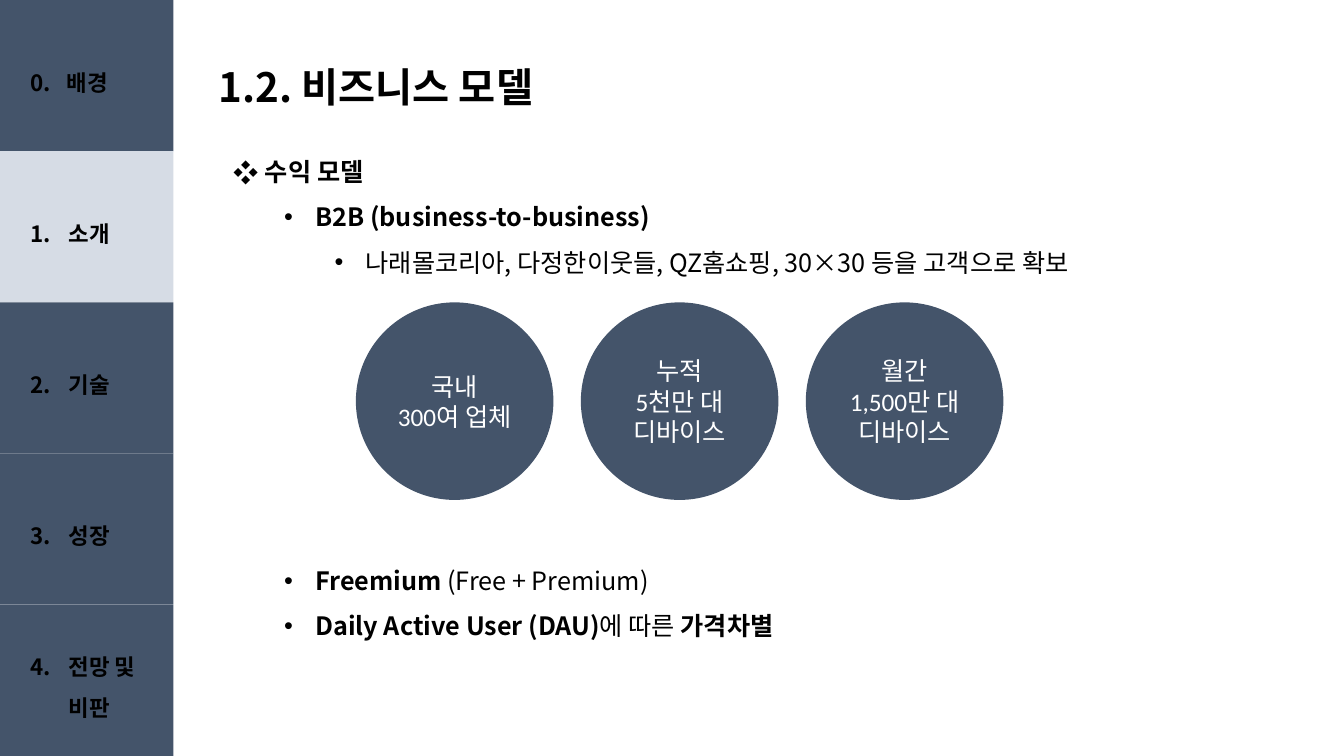
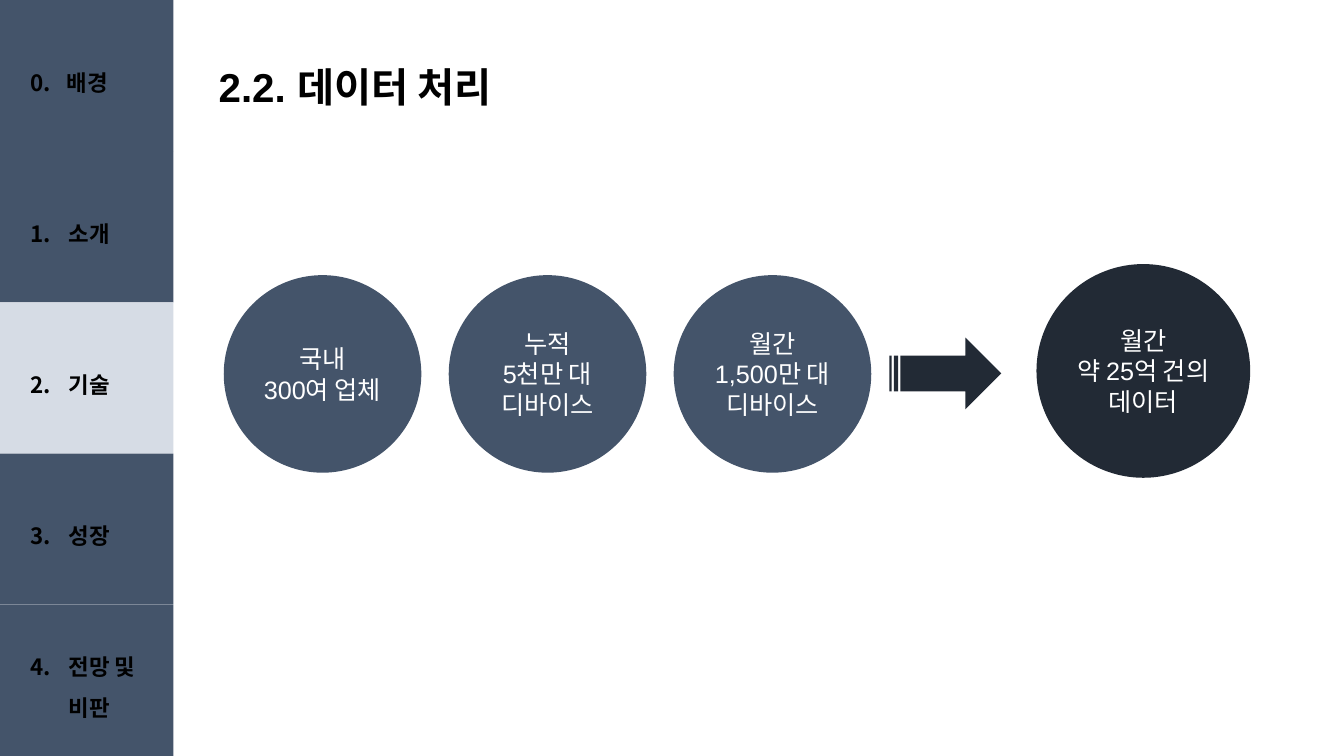
import pptx
import pptx.util
import pptx.dml.color
import pptx.enum.shapes
import pptx.enum.text
import pptx.oxml.ns
import lxml.etree

COLORS = {
    "slate": "44546A",
    "pale": "D6DCE5",
    "night": "222A35",
    "black": "000000",
    "white": "FFFFFF",
}
KOREAN = "Noto Sans CJK KR"
WIDTH = pptx.util.Inches(13.333)
HEIGHT = pptx.util.Inches(7.5)
COLUMN = WIDTH / 100
ROW = HEIGHT / 100

SECTIONS = ["0.\t배경", "소개", "기술", "성장", "전망 및 비판"]
SIDEBAR_COLUMNS = 12.9
CIRCLE_COLUMNS = 14.7
CIRCLE_PITCH = 16.74
FIGURES = ["국내\n300여 업체", "누적\n5천만 대\n디바이스", "월간\n1,500만 대\n디바이스"]
MODEL_POINTS = [
    (0, [("수익 모델", True)], 0),
    (1, [("B2B (business-to-business)", True)], 0),
    (2, [("나래몰코리아, 다정한이웃들, QZ홈쇼핑, 30×30 등을 고객으로 확보", False)], 0),
    (1, [("Freemium", True), (" (Free + Premium)", False)], 195),
    (1, [("Daily Active User (DAU)", True), ("에 따른 ", False), ("가격차별", True)], 0),
]


def color(name):
    return pptx.dml.color.RGBColor.from_string(COLORS[name])


def place(left, top, width, height):
    return round(left * COLUMN), round(top * ROW), round(width * COLUMN), round(height * ROW)


def format_span(span, font, size, ink, bold=False):
    span.font.name = font
    span.font.size = pptx.util.Pt(size)
    span.font.bold = bold
    span.font.color.rgb = color(ink)
    properties = span.font._element
    east_asian = lxml.etree.SubElement(properties, pptx.oxml.ns.qn("a:ea"))
    east_asian.set("typeface", KOREAN)


def add_mark(para, tag, **values):
    mark = lxml.etree.SubElement(para._p.get_or_add_pPr(), pptx.oxml.ns.qn(tag))
    for key, value in values.items():
        mark.set(key, str(value))
    return mark


def hang(para, left, indent):
    properties = para._p.get_or_add_pPr()
    properties.set("marL", str(pptx.util.Inches(left)))
    properties.set("indent", str(pptx.util.Inches(-indent)))


def add_figure(page, kind, area, fill):
    figure = page.shapes.add_shape(kind, *area)
    figure.shadow.inherit = False
    figure.fill.solid()
    figure.fill.fore_color.rgb = color(fill)
    figure.line.fill.background()
    return figure


def add_text_box(page, area):
    box = page.shapes.add_textbox(*area)
    box.text_frame.word_wrap = True
    return box


def add_title(page, text, font):
    box = add_text_box(page, place(15.53, 5.47, 74.57, 8.8))
    box.text_frame.vertical_anchor = pptx.enum.text.MSO_ANCHOR.MIDDLE
    box.text_frame.text = text
    para = box.text_frame.paragraphs[0]
    para.line_spacing = 1.5
    format_span(para.runs[0], font, 28.8, "black", True)


def add_sidebar(page, current):
    rows = 100 / len(SECTIONS)
    for number, section in enumerate(SECTIONS):
        fill = "pale" if number == current else "slate"
        area = place(0, number * rows, SIDEBAR_COLUMNS, rows)
        band = add_figure(page, pptx.enum.shapes.MSO_SHAPE.RECTANGLE, area, fill)
        frame = band.text_frame
        frame.margin_left = frame.margin_right = pptx.util.Inches(0.3)
        frame.vertical_anchor = pptx.enum.text.MSO_ANCHOR.MIDDLE
        frame.text = section
        para = frame.paragraphs[0]
        para.alignment = pptx.enum.text.PP_ALIGN.LEFT
        para.line_spacing = 1.5
        if number:
            hang(para, 0.38, 0.38)
            add_mark(para, "a:buAutoNum", type="arabicPeriod", startAt=number)
        else:
            stops = add_mark(para, "a:tabLst")
            stop = lxml.etree.SubElement(stops, pptx.oxml.ns.qn("a:tab"))
            stop.set("pos", str(pptx.util.Inches(0.36)))
            stop.set("algn", "l")
        for span in para.runs:
            format_span(span, KOREAN, 16, "black", True)


def add_circle(page, left, top, columns, text, font, fill="slate"):
    area = place(left, top, columns, columns * COLUMN / ROW)
    circle = add_figure(page, pptx.enum.shapes.MSO_SHAPE.OVAL, area, fill)
    frame = circle.text_frame
    frame.margin_left = frame.margin_right = 0
    frame.vertical_anchor = pptx.enum.text.MSO_ANCHOR.MIDDLE
    frame.text = text
    for para in frame.paragraphs:
        para.alignment = pptx.enum.text.PP_ALIGN.CENTER
        format_span(para.runs[0], font, 18, "white")


def add_circle_row(page, left, top, font):
    for index, text in enumerate(FIGURES):
        add_circle(page, left + index * CIRCLE_PITCH, top, CIRCLE_COLUMNS, text, font)


def add_points(page, points):
    frame = add_text_box(page, place(16.65, 18, 79.74, 68)).text_frame
    for index, (level, spans, space) in enumerate(points):
        para = frame.add_paragraph() if index else frame.paragraphs[0]
        para.level = level
        para.line_spacing = 1.5
        if space:
            para.space_before = pptx.util.Pt(space)
        hang(para, 0.31 + 0.5 * level, 0.31)
        add_mark(para, "a:buFont", typeface="Arial" if level else KOREAN)
        add_mark(para, "a:buChar", char="•" if level else "❖")
        for text, bold in spans:
            span = para.add_run()
            span.text = text
            format_span(span, KOREAN, 18, "black", bold)


def add_page(deck, title, font, current):
    page = deck.slides.add_slide(deck.slide_layouts[6])
    add_title(page, title, font)
    add_sidebar(page, current)
    return page


def build_model_page(deck):
    page = add_page(deck, "1.2. 비즈니스 모델", KOREAN, 1)
    add_points(page, MODEL_POINTS)
    add_circle_row(page, 26.48, 40, "Calibri")


def build_data_page(deck):
    page = add_page(deck, "2.2. 데이터 처리", "Arial", 2)
    add_circle_row(page, 16.65, 36.4, "Arial")
    arrow = pptx.enum.shapes.MSO_SHAPE.STRIPED_RIGHT_ARROW
    add_figure(page, arrow, place(66.17, 44.67, 8.33, 9.47), "night")
    add_circle(page, 77.12, 34.93, 15.9, "월간\n약 25억 건의\n데이터", "Arial", "night")


def main():
    deck = pptx.Presentation()
    deck.slide_width = WIDTH
    deck.slide_height = HEIGHT
    build_model_page(deck)
    build_data_page(deck)
    deck.save("out.pptx")


if __name__ == "__main__":
    main()
